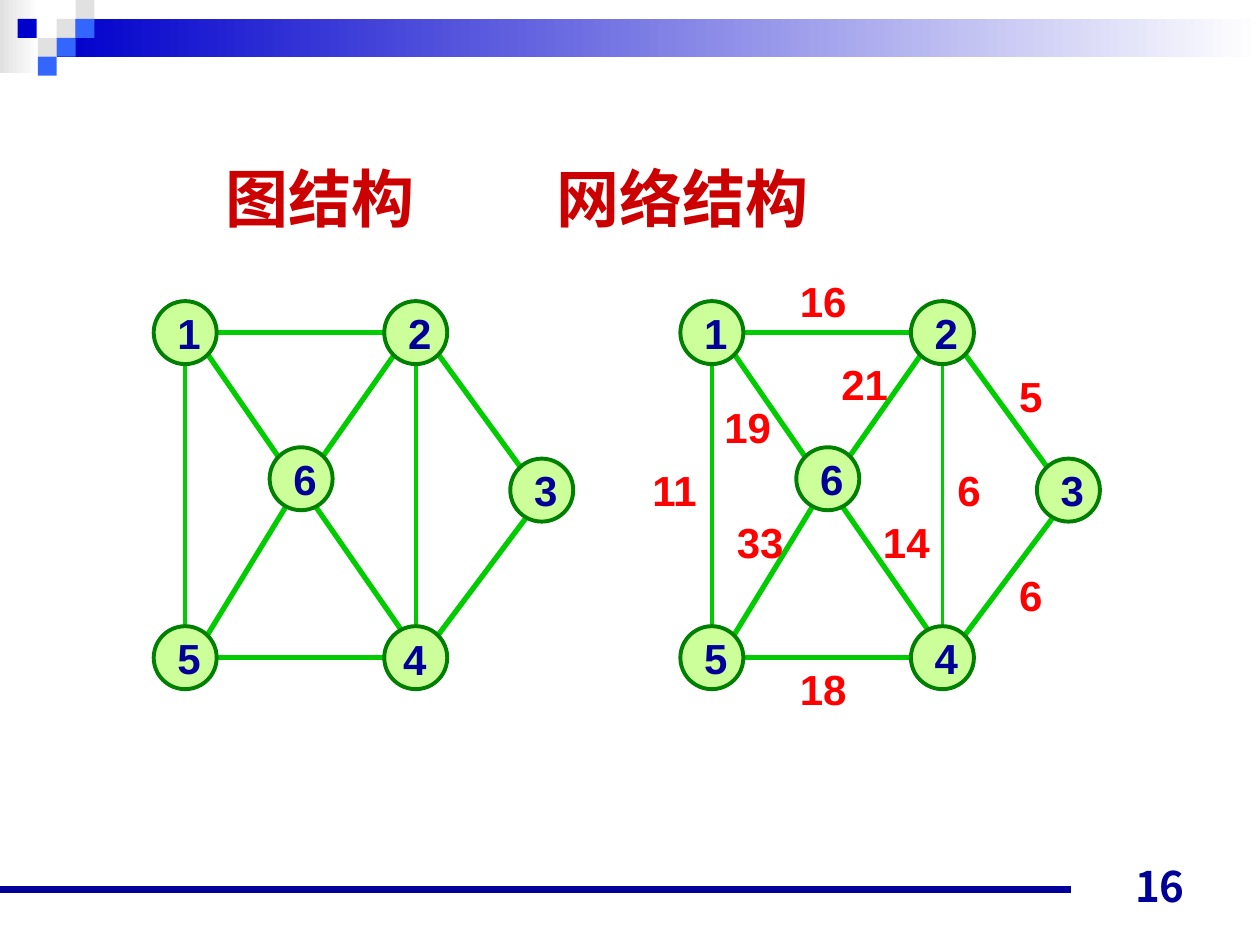
from lxml import etree
from pptx import Presentation
from pptx.dml.color import RGBColor
from pptx.enum.shapes import MSO_CONNECTOR as CONN, MSO_SHAPE as SHAPE
from pptx.enum.text import MSO_ANCHOR as ANCHOR, PP_ALIGN as ALIGN
from pptx.oxml.ns import qn
from pptx.util import Inches, Pt

NAVY, BLUE, SKY, GREY = "000099", "0000CC", "3366FF", "E1E1E1"
NODE_SIZE = 0.5
TITLE = dict(size=Pt(36), name="Noto Sans CJK SC", bold=True)
LABEL = dict(size=Pt(24), name="Arial", bold=True)
NUMBER = dict(size=Pt(24), name="Noto Sans CJK JP", bold=True)

BANDS = [(0, 0, 0.31, 0.58, GREY), (0.45, 0.15, 9.55, 0.3, BLUE)]
SQUARES = [(0.45, 0.15, GREY), (0.6, 0, GREY), (0.6, 0.15, SKY),
           (0.3, 0.3, GREY), (0.14, 0.15, BLUE), (0.45, 0.3, SKY),
           (0.3, 0.45, SKY)]
NODES = {"1": (0, 0), "2": (1.83, 0), "3": (2.83, 1.25),
         "4": (1.83, 2.58), "5": (0, 2.58), "6": (0.92, 1.16)}
EDGES = [(1.92, 0.41, 1.33, 1.25), (3, 1.66, 2.25, 2.66),
         (1.08, 1.58, 0.42, 2.66), (1.25, 1.58, 2, 2.66),
         (0.25, 0.5, 0.25, 2.58), (0.5, 2.83, 1.83, 2.83),
         (0.5, 0.25, 1.83, 0.25), (2.25, 0.41, 2.92, 1.33),
         (0.42, 0.41, 1, 1.25), (2.08, 0.5, 2.08, 2.58)]
WEIGHTS = [("11", -0.32, 1.25), ("33", 0.35, 1.66), ("18", 0.85, 2.83),
           ("14", 1.51, 1.66), ("6", 2.1, 1.25), ("6", 2.59, 2.08),
           ("5", 2.59, 0.5), ("16", 0.85, -0.25), ("19", 0.25, 0.75),
           ("21", 1.18, 0.41)]


def rgb(value):
    return RGBColor.from_string(value)


def add_shape(shapes, kind, x, y, w, h, fill, line=None):
    sp = shapes.add_shape(kind, Inches(x), Inches(y), Inches(w), Inches(h))
    sp.shadow.inherit = False
    sp.fill.solid()
    sp.fill.fore_color.rgb = rgb(fill)
    if line:
        sp.line.color.rgb = rgb(line)
        sp.line.width = Pt(2.25)
    else:
        sp.line.fill.background()
    return sp


def add_band(shapes, x, y, w, h, color):
    sp = add_shape(shapes, SHAPE.RECTANGLE, x, y, w, h, color)
    sp.fill.gradient()
    sp.fill.gradient_angle = 180
    for stop, value, pos in zip(sp.fill.gradient_stops, ("FFFFFF", color), (0, 1)):
        stop.color.rgb = rgb(value)
        stop.position = pos


def add_line(shapes, x1, y1, x2, y2, color, width):
    ln = shapes.add_connector(CONN.STRAIGHT, Inches(x1), Inches(y1),
                              Inches(x2), Inches(y2))
    ln.line.color.rgb = rgb(color)
    ln.line.width = Pt(width)
    etree.SubElement(ln._element.spPr, qn("a:effectLst"))


def add_text(shapes, text, x, y, w, h, color, font, inset=(0.1, 0.05),
             wrap=False, anchor=ANCHOR.TOP, align=ALIGN.LEFT):
    tf = shapes.add_textbox(Inches(x), Inches(y), Inches(w), Inches(h)).text_frame
    tf.margin_left = tf.margin_right = Inches(inset[0])
    tf.margin_top = tf.margin_bottom = Inches(inset[1])
    tf.word_wrap = wrap
    tf.vertical_anchor = anchor
    p = tf.paragraphs[0]
    p.alignment = align
    r = p.add_run()
    r.text = text
    for key, value in font.items():
        setattr(r.font, key, value)
    r.font.color.rgb = rgb(color)
    ea = etree.SubElement(r._r.get_or_add_rPr(), qn("a:ea"))
    ea.set("typeface", font["name"])
    return p


def add_header(shapes):
    for band in BANDS:
        add_band(shapes, *band)
    for x, y, color in SQUARES:
        add_shape(shapes, SHAPE.RECTANGLE, x, y, 0.15, 0.15, color)


def add_title(shapes):
    p = add_text(shapes, "图结构\t网络结构", 1.67, 1.21, 6.25, 0.72,
                 "CC0000", TITLE, inset=(0.12, 0.06), wrap=True)
    tabs = etree.SubElement(p._p.get_or_add_pPr(), qn("a:tabLst"))
    etree.SubElement(tabs, qn("a:tab"), pos=str(Inches(2.63)), algn="l")


def add_graph(slide, left, top, weights=(), nudges=None):
    shapes = slide.shapes.add_group_shape().shapes
    for x1, y1, x2, y2 in EDGES:
        add_line(shapes, left + x1, top + y1, left + x2, top + y2,
                 "00CC00", 2.25 if x1 == x2 else 3)
    for name, (x, y) in NODES.items():
        add_shape(shapes, SHAPE.OVAL, left + x, top + y, NODE_SIZE, NODE_SIZE,
                  "CCFF99", "008000")
        dx, dy = (nudges or {}).get(name, (0.09, 0))
        add_text(shapes, name, left + x + dx, top + y + dy, 0.38, 0.5, NAVY, LABEL)
    for text, x, y in weights:
        add_text(shapes, text, left + x, top + y, 0.19 * (len(text) + 1), 0.5,
                 "FF0000", LABEL)


def add_footer(shapes):
    add_line(shapes, 0, 7.06, 8.5, 7.06, NAVY, 4.5)
    add_text(shapes, "16", 7.17, 6.78, 2.33, 0.5, NAVY, NUMBER, wrap=True,
             anchor=ANCHOR.BOTTOM, align=ALIGN.RIGHT)


def main():
    prs = Presentation()
    prs.slide_width, prs.slide_height = Inches(10), Inches(7.5)
    s = prs.slides.add_slide(prs.slide_layouts[6])
    add_header(s.shapes)
    add_title(s.shapes)
    add_graph(s, 5.4, 2.39, WEIGHTS)
    add_graph(s, 1.22, 2.39, nudges={"4": (0.05, 0.01)})
    add_footer(s.shapes)
    prs.save("out.pptx")


if __name__ == "__main__":
    main()
